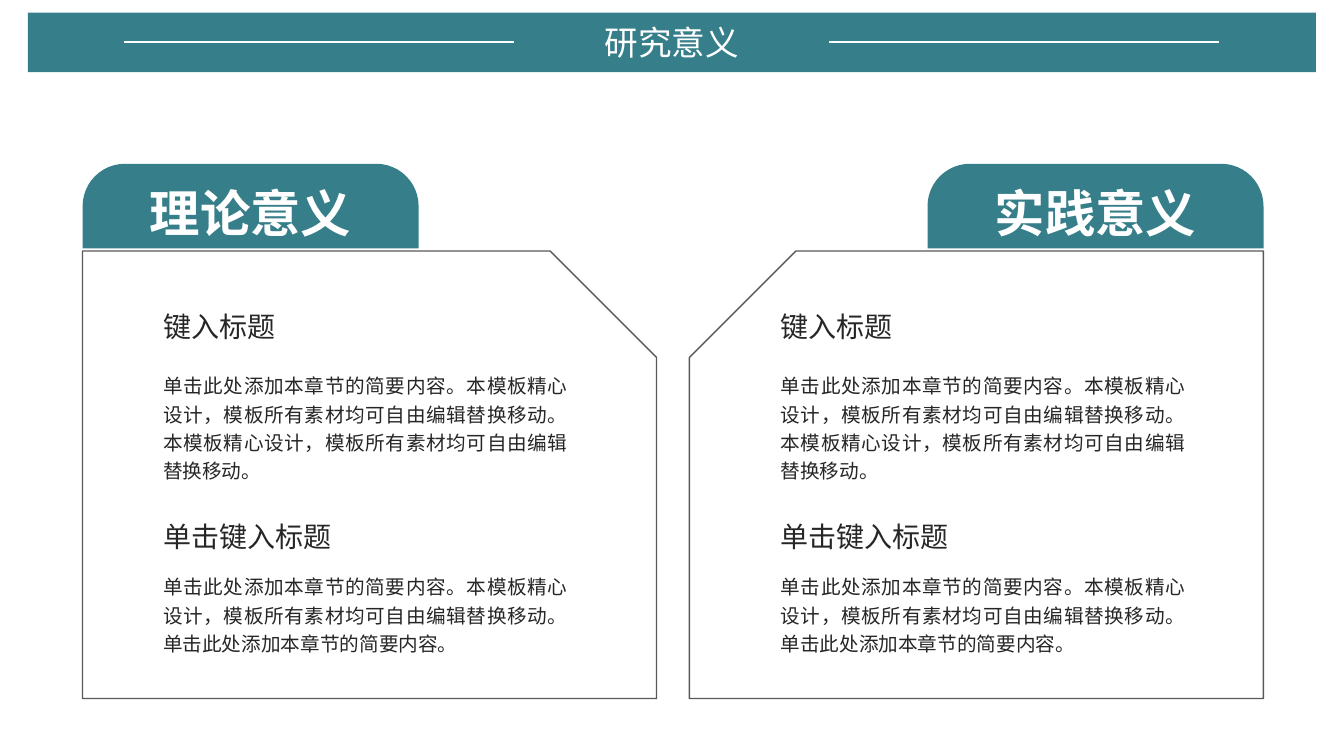
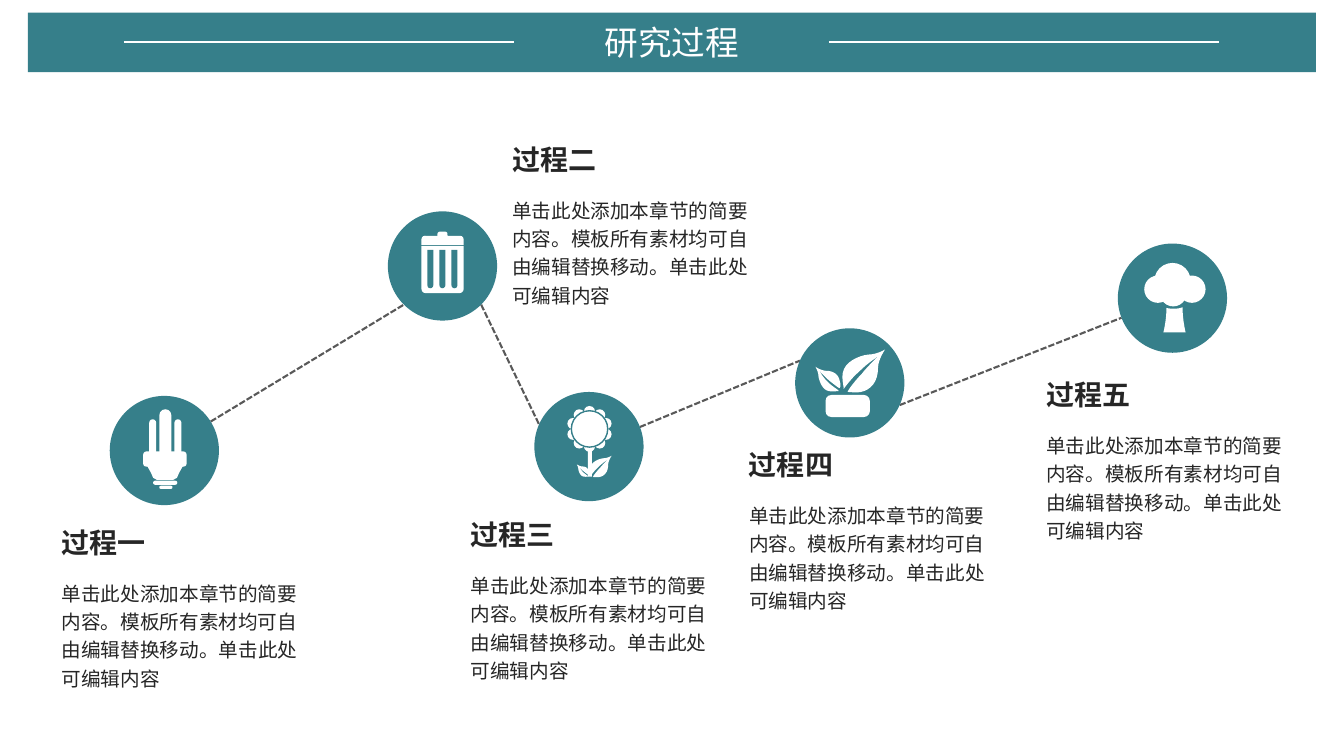
from math import cos, radians, sin

from lxml.etree import SubElement
from pptx import Presentation
from pptx.dml.color import RGBColor
from pptx.enum.dml import MSO_LINE
from pptx.enum.shapes import MSO_CONNECTOR, MSO_SHAPE
from pptx.enum.text import MSO_ANCHOR, MSO_AUTO_SIZE, PP_ALIGN
from pptx.oxml.ns import qn
from pptx.util import Pt

TEAL = RGBColor(0x36, 0x7F, 0x8A)
WHITE = RGBColor(0xFF, 0xFF, 0xFF)
GRAY = RGBColor(0x59, 0x59, 0x59)
INK = RGBColor(0x26, 0x26, 0x26)
FONT = "Noto Sans CJK SC"
RADIUS = 39

# Control points of cubic curves, three per curve after the start
BIG_LEAF = [
    (-1.4, 6.5), (-2.2, 6.5), (2.9, -0.7), (8.6, -6.5),
    (14.4, -13.7), (20.9, -19.4), (20.9, -19.4),
    (20.9, -19.4), (13, -14.4), (6.5, -7.9),
    (0.7, -2.9), (-4.3, 4.3), (-4.3, 4.3),
    (-4.3, 2.2), (-5.8, -2.2), (-5, -7.2),
    (-3.6, -15.1), (6.5, -19.4), (13, -20.2),
    (19.4, -20.2), (25.2, -23.8), (25.2, -23.8),
    (25.2, -23.8), (20.2, -16.6), (20.2, -10.8),
    (20.2, -0.7), (15.1, 5), (7.9, 6.5),
    (3.6, 7.2), (0.7, 6.5), (-1.4, 6.5)]
SMALL_LEAF = [
    (-7.2, 3.6), (-7.2, 4.3), (-10.8, 1.4), (-14.4, -1.4),
    (-18.7, -5), (-22.3, -9.4), (-22.3, -9.4),
    (-22.3, -9.4), (-19.4, -4.3), (-15.8, -0.7),
    (-12.2, 2.9), (-7.9, 5), (-7.9, 5.8),
    (-9.4, 5.8), (-11.5, 6.5), (-15.1, 5.8),
    (-19.4, 5), (-21.6, -0.7), (-22.3, -4.3),
    (-22.3, -7.9), (-24.5, -11.5), (-24.5, -11.5),
    (-24.5, -11.5), (-20.2, -8.6), (-16.6, -8.6),
    (-11.5, -8.6), (-7.9, -5.8), (-7.2, -1.4),
    (-6.5, 0.7), (-6.5, 2.9), (-7.2, 3.6)]
TRUNK = [
    (-4.3, 7), (-1, 7.8), (4, 7.8), (7.2, 6.5),
    (7.2, 16), (9.4, 24.5), (9.4, 24.5),
    (9.4, 24.5), (-6.5, 24.5), (-6.5, 24.5),
    (-6.5, 24.5), (-4.3, 16), (-4.3, 7)]

INTRO = "单击此处添加本章节的简要内容。"
SECTIONS = [
    ("键入标题", INTRO + "本模板精心设计，模板所有素材均可自由编辑替换移动。"
     "本模板精心设计，模板所有素材均可自由编辑替换移动。", 221, 264),
    ("单击键入标题", INTRO + "本模板精心设计，模板所有素材均可自由编辑替换移动。" + INTRO,
     371, 407.5)]


def add_run(p, text, size=14, color=INK, bold=False, font=FONT):
    r = p.add_run()
    r.text = text
    r.font.size, r.font.bold, r.font.name = Pt(size), bold, font
    r.font.color.rgb = color
    SubElement(r._r.get_or_add_rPr(), qn("a:ea")).set("typeface", font)
    return r


def bezier(points, steps=8):
    outline = [points[0]]
    for i in range(0, len(points) - 1, 3):
        a, b, c, d = points[i:i + 4]
        for t in (k / steps for k in range(1, steps + 1)):
            u = 1 - t
            outline.append(tuple(
                u**3 * a[n] + 3 * u * u * t * b[n] + 3 * u * t * t * c[n] + t**3 * d[n]
                for n in (0, 1)))
    return outline


class Deck:
    def __init__(self):
        self.prs = Presentation()
        self.prs.slide_width, self.prs.slide_height = Pt(960), Pt(540)
        self.s = None
        self.origin = (0, 0)

    def slide(self, title):
        self.s = self.prs.slides.add_slide(self.prs.slide_layouts[5])
        self.origin = (0, 0)
        self.shape(MSO_SHAPE.RECTANGLE, 20, 9, 920, 42.5, fill=TEAL)
        sp = self.s.shapes.title
        sp.left, sp.top, sp.width, sp.height = Pt(379.5), Pt(12), Pt(201), Pt(36)
        tf = sp.text_frame
        tf.auto_size, tf.vertical_anchor = MSO_AUTO_SIZE.NONE, MSO_ANCHOR.MIDDLE
        p = tf.paragraphs[0]
        p.alignment = PP_ALIGN.CENTER
        add_run(p, title, size=24, color=WHITE)
        sp.element.getparent().append(sp.element)
        for x in (88.5, 592):
            self.line((x, 30.2), (x + 278.5, 30.2), WHITE, 1.25)

    def paint(self, sp, fill=None, line=None, width=1):
        sp.shadow.inherit = False
        if fill is None:
            sp.fill.background()
        else:
            sp.fill.solid()
            sp.fill.fore_color.rgb = fill
        if line is None:
            sp.line.fill.background()
        else:
            sp.line.color.rgb = line
            sp.line.width = Pt(width)

    def shape(self, kind, x, y, w, h, adj=(), rot=0, flip=False, **style):
        dx, dy = self.origin
        sp = self.s.shapes.add_shape(kind, Pt(x + dx), Pt(y + dy), Pt(w), Pt(h))
        for i, value in enumerate(adj):
            sp.adjustments[i] = value
        sp.rotation = rot
        if flip:
            sp.element.spPr.find(qn("a:xfrm")).set("flipH", "1")
        self.paint(sp, **style)
        return sp

    def pill(self, x, y, w, h, adj=0.5, fill=WHITE):
        return self.shape(MSO_SHAPE.ROUNDED_RECTANGLE, x, y, w, h, adj=[adj], fill=fill)

    def tab(self, x, y, w, h, adj=0.5, fill=WHITE, rot=0):
        return self.shape(MSO_SHAPE.ROUND_2_SAME_RECTANGLE, x, y, w, h,
                          adj=[adj, 0], fill=fill, rot=rot)

    def disc(self, cx, cy, d, fill=WHITE, **style):
        return self.shape(MSO_SHAPE.OVAL, cx - d / 2, cy - d / 2, d, d, fill=fill, **style)

    def outline(self, points, dx=0, dy=0, scale=1):
        ox, oy = self.origin
        pts = [(Pt(ox + dx + x * scale), Pt(oy + dy + y * scale)) for x, y in points]
        fb = self.s.shapes.build_freeform(*pts[0])
        fb.add_line_segments(pts[1:], close=True)
        self.paint(fb.convert_to_shape(), fill=WHITE)

    def leaves(self, **place):
        for leaf in (BIG_LEAF, SMALL_LEAF):
            self.outline(bezier(leaf), **place)

    def line(self, start, end, color, width, dash=None):
        cn = self.s.shapes.add_connector(
            MSO_CONNECTOR.STRAIGHT, *(Pt(v) for v in (*start, *end)))
        cn.line.color.rgb = color
        cn.line.width = Pt(width)
        if dash:
            cn.line.dash_style = dash
        SubElement(cn.element.spPr, qn("a:effectLst"))

    def text(self, x, y, w, h, runs, anchor=MSO_ANCHOR.TOP, align=PP_ALIGN.LEFT,
             pitch=None, **style):
        tf = self.s.shapes.add_textbox(Pt(x), Pt(y), Pt(w), Pt(h)).text_frame
        tf.word_wrap, tf.vertical_anchor = True, anchor
        tf.margin_left = tf.margin_right = tf.margin_top = tf.margin_bottom = 0
        p = tf.paragraphs[0]
        p.alignment = align
        if pitch:
            p.line_spacing = Pt(pitch)
        for text, font in runs:
            add_run(p, text, font=font, **style)

    def bulb(self):
        for x, y, w, h in [(-10.8, -22.3, 5, 30), (-3.6, -29.5, 8.6, 38),
                           (7.2, -22.3, 5, 30), (-8, 21.6, 17.3, 2.9),
                           (-3.6, 25.2, 9.4, 2.2)]:
            self.pill(x, y, w, h)
        self.pill(-15.1, 0.7, 31, 10.8, adj=0.2)
        self.outline([(-12.3, 11), (13.3, 11), (10.5, 16), (9, 19.5), (6.5, 20.9),
                      (-5.5, 20.9), (-8, 19.5), (-9.5, 16)])

    def bin(self):
        self.tab(-15.1, -14.4, 30.2, 33.8, adj=0.1, rot=180)
        for i in range(3):
            self.tab(-10.8 + 8.6 * i, -11.5, 4.2, 27.4, fill=TEAL, rot=180)
        self.tab(-15.1, -21.6, 30.2, 6.5, adj=0.4)
        self.tab(-3.6, -24.5, 7.2, 4, adj=0.4)

    def flower(self):
        cx, cy = 0.4, -12.6
        for i in range(10):
            a = radians(90 + 36 * i)
            self.disc(cx + 12.4 * cos(a), cy + 12.4 * sin(a), 8)
        self.disc(cx, cy, 26, line=TEAL)
        self.shape(MSO_SHAPE.RECTANGLE, -0.7, 2.5, 2.9, 19, fill=WHITE)
        self.leaves(dx=3.6, dy=18.5, scale=0.5)

    def plant(self):
        self.leaves()
        self.pill(-17.3, 8.6, 31.7, 15.8, adj=0.27)

    def tree(self):
        for cx, cy, d in [(-10.4, -6.4, 19.5), (13.9, -6.4, 19.5),
                          (0, -12.2, 26), (0.6, -3.6, 19)]:
            self.disc(cx, cy, d)
        self.outline(bezier(TRUNK))


def meaning(deck):
    deck.slide("研究意义")
    for x, tab_x, text_x, flip, name in [(59, 59, 116.5, False, "理论意义"),
                                         (492.5, 662.5, 557.5, True, "实践意义")]:
        deck.shape(MSO_SHAPE.SNIP_1_RECTANGLE, x, 179.3, 410, 319.7,
                   adj=[0.238], flip=flip, line=GRAY)
        tf = deck.tab(tab_x, 117, 240, 60.5, fill=TEAL).text_frame
        tf.vertical_anchor = MSO_ANCHOR.MIDDLE
        p = tf.paragraphs[0]
        p.alignment = PP_ALIGN.CENTER
        add_run(p, name, size=36, color=WHITE, bold=True)
        for heading, body, heading_y, body_y in SECTIONS:
            deck.text(text_x, heading_y, 200, 29, [(heading, FONT)], size=20)
            deck.text(text_x, body_y, 289, 82, [(body, FONT)],
                      align=PP_ALIGN.JUSTIFY, pitch=20.2)


def process(deck):
    deck.slide("研究过程")
    # name, circle centre, angles of the incoming and outgoing line, text corner, icon
    steps = [
        ("过程一", (117.4, 321.8), None, -32, (44, 375), deck.bulb),
        ("过程二", (316.1, 190), 135, 45, (365.8, 101.5), deck.bin),
        ("过程三", (420.7, 319), 204, -21, (336.2, 369.5), deck.flower),
        ("过程四", (607, 273.5), 204, 24, (535, 319.5), deck.plant),
        ("过程五", (837.5, 213), 159, None, (747.4, 269.5), deck.tree)]

    def rim(centre, angle):
        a = radians(angle)
        return centre[0] + RADIUS * cos(a), centre[1] + RADIUS * sin(a)

    for (_, c1, _, leave, _, _), (_, c2, enter, _, _, _) in zip(steps, steps[1:]):
        deck.line(rim(c1, leave), rim(c2, enter), GRAY, 1.5, MSO_LINE.SQUARE_DOT)
    for name, centre, _, _, (x, y), icon in steps:
        deck.text(x, y, 130, 29, [(name, FONT)], size=20, bold=True)
        deck.text(x, y + 30, 173, 95,
                  [(INTRO + "模板所有素材均可自由编辑替换移动。", FONT),
                   ("单击此处可编辑内容", "Arial")],
                  anchor=MSO_ANCHOR.MIDDLE, pitch=20.2)
        deck.origin = centre
        deck.disc(0, 0, 2 * RADIUS, fill=TEAL)
        icon()


def main():
    deck = Deck()
    meaning(deck)
    process(deck)
    deck.prs.save("out.pptx")


if __name__ == "__main__":
    main()
